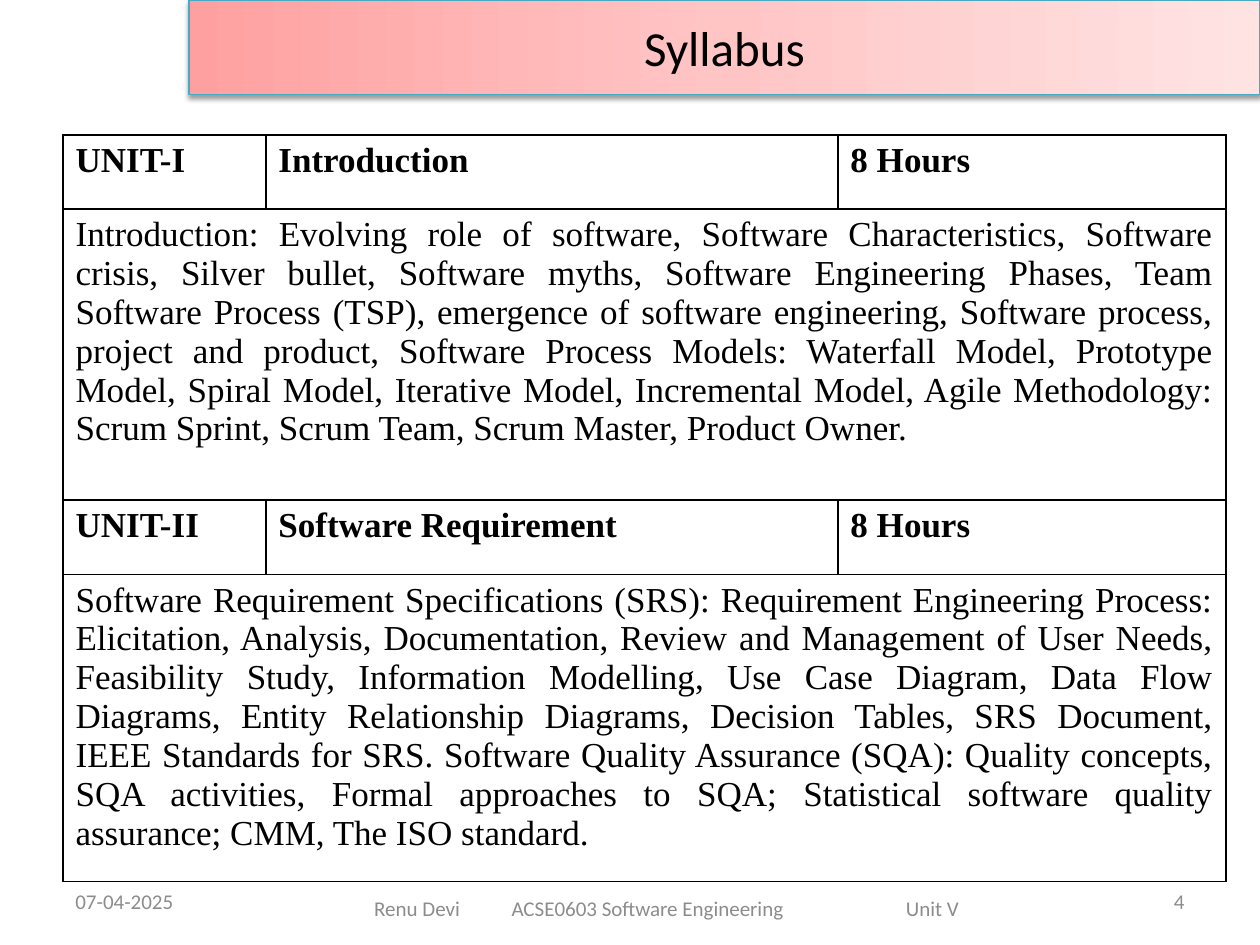
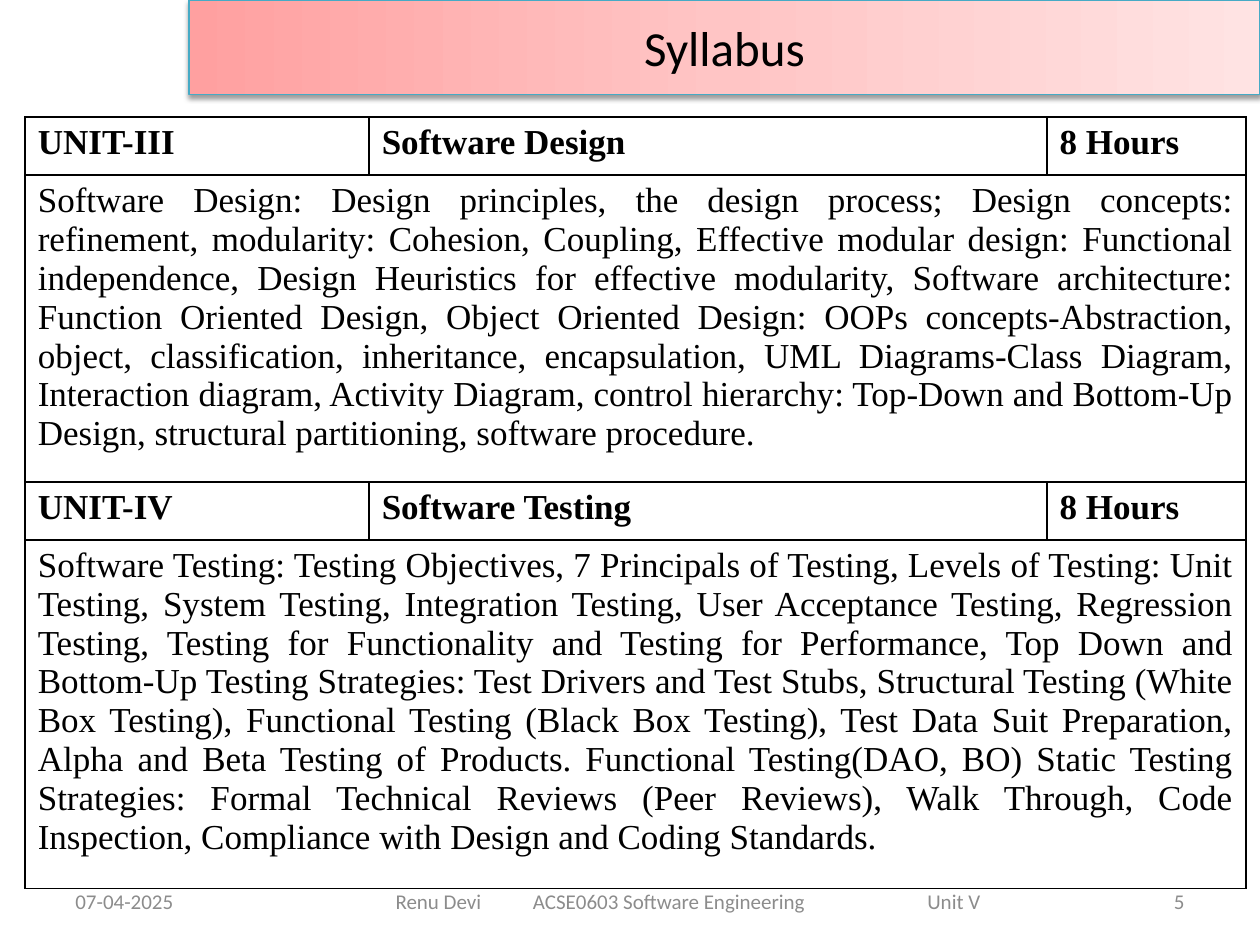
from lxml import etree
from pptx import Presentation
from pptx.dml.color import RGBColor
from pptx.enum.text import MSO_ANCHOR as Anchor, MSO_AUTO_SIZE as Fit, PP_ALIGN as Align
from pptx.oxml import parse_xml
from pptx.oxml.ns import nsdecls, qn
from pptx.util import Inches, Pt

SANS, SERIF = "Calibri", "Times New Roman"
BLACK, WHITE, GREY, TEAL = "000000", "FFFFFF", "8C8C8C", "46AAC5"
FADE = [(0, "FFA0A0"), (50, "FFC5C5"), (100, "FFE3E3")]
FOOT = "Renu Devi\tACSE0603 Software Engineering\tUnit V"
TABS = [1.09, 4.22]

PAGES = [
    {
        "num": "4",
        "foot": (2.64, 7.01),
        "at": (0.5, 1.07),
        "cols": [1.61, 4.54, 3.08],
        "rows": [0.59, 2.31, 0.59, 2.39],
        "units": [
            ("UNIT-I", "Introduction", "8 Hours",
             "Introduction: Evolving role of software, Software Characteristics, "
             "Software crisis, Silver bullet, Software myths, Software Engineering "
             "Phases, Team Software Process (TSP), emergence of software engineering, "
             "Software process, project and product, Software Process Models: "
             "Waterfall Model, Prototype Model, Spiral Model, Iterative Model, "
             "Incremental Model, Agile Methodology: Scrum Sprint, Scrum Team, "
             "Scrum Master, Product Owner."),
            ("UNIT-II", "Software Requirement", "8 Hours",
             "Software Requirement Specifications (SRS): Requirement Engineering "
             "Process: Elicitation, Analysis, Documentation, Review and Management of "
             "User Needs, Feasibility Study, Information Modelling, Use Case Diagram, "
             "Data Flow Diagrams, Entity Relationship Diagrams, Decision Tables, SRS "
             "Document, IEEE Standards for SRS. Software Quality Assurance (SQA): "
             "Quality concepts, SQA activities, Formal approaches to SQA; Statistical "
             "software quality assurance; CMM, The ISO standard."),
        ],
    },
    {
        "num": "5",
        "foot": (2.81, 6.95),
        "at": (0.2, 0.93),
        "cols": [2.73, 5.38, 1.58],
        "rows": [0.46, 2.02, 0.46, 2.39],
        "units": [
            ("UNIT-III", "Software Design", "8 Hours",
             "Software Design: Design principles, the design process; Design concepts: "
             "refinement, modularity: Cohesion, Coupling, Effective modular design: "
             "Functional independence, Design Heuristics for effective modularity, "
             "Software architecture: Function Oriented Design, Object Oriented Design: "
             "OOPs concepts-Abstraction, object, classification, inheritance, "
             "encapsulation, UML Diagrams-Class Diagram, Interaction diagram, Activity "
             "Diagram, control hierarchy: Top-Down and Bottom-Up Design, structural "
             "partitioning, software procedure."),
            ("UNIT-IV", "Software Testing", "8 Hours",
             "Software Testing: Testing Objectives, 7 Principals of Testing, Levels of "
             "Testing: Unit Testing, System Testing, Integration Testing, User "
             "Acceptance Testing, Regression Testing, Testing for Functionality and "
             "Testing for Performance, Top Down and Bottom-Up Testing Strategies: Test "
             "Drivers and Test Stubs, Structural Testing (White Box Testing), "
             "Functional Testing (Black Box Testing), Test Data Suit Preparation, "
             "Alpha and Beta Testing of Products. Functional Testing(DAO, BO) Static "
             "Testing Strategies: Formal Technical Reviews (Peer Reviews), Walk "
             "Through, Code Inspection, Compliance with Design and Coding Standards."),
        ],
    },
]


def color(code):
    return RGBColor.from_string(code)


def write(frame, text, size, face, tone, align, bold=False):
    frame.text = text
    para = frame.paragraphs[0]
    para.alignment = align
    font = para.font
    font.size, font.name, font.bold = Pt(size), face, bold
    font.color.rgb = color(tone)
    return para


# Title band with gradient and soft shadow
def add_title(slide, text, left, top, width, height):
    band = slide.shapes.title
    band.left, band.top = Inches(left), Inches(top)
    band.width, band.height = Inches(width), Inches(height)
    stops = "".join(f'<a:gs pos="{pos * 1000}"><a:srgbClr val="{code}"/></a:gs>'
                    for pos, code in FADE)
    props = band.element.spPr
    props.append(parse_xml(
        f'<a:gradFill {nsdecls("a")} rotWithShape="1"><a:gsLst>{stops}</a:gsLst>'
        '<a:lin ang="0" scaled="0"/></a:gradFill>'))
    band.line.color.rgb = color(TEAL)
    band.line.width = Pt(0.75)
    props.append(parse_xml(
        f'<a:effectLst {nsdecls("a")}><a:outerShdw blurRad="{Pt(3.1)}" '
        f'dist="{Pt(1.6)}" dir="5400000" rotWithShape="0"><a:srgbClr val="{BLACK}">'
        '<a:alpha val="38000"/></a:srgbClr></a:outerShdw></a:effectLst>'))
    frame = band.text_frame
    frame.auto_size = Fit.NONE
    frame.vertical_anchor = Anchor.MIDDLE
    write(frame, text, 28, SANS, BLACK, Align.CENTER)


# Footer: date, course line and page number
def add_note(slide, text, left, top, width, align=Align.LEFT):
    box = slide.shapes.add_textbox(Inches(left), Inches(top), Inches(width), Inches(0.4))
    frame = box.text_frame
    frame.word_wrap = True
    frame.vertical_anchor = Anchor.MIDDLE
    return frame, write(frame, text, 12, SANS, GREY, align)


def add_footer(slide, num, left, top):
    add_note(slide, "07-04-2025", 0.5, 6.95, 2.33)
    add_note(slide, num, 7.17, 6.95, 2.33, Align.RIGHT)
    frame, para = add_note(slide, FOOT, left, top, 5.5)
    frame.margin_left = Inches(0.33)
    props = para._p.get_or_add_pPr()
    stops = parse_xml(f'<a:tabLst {nsdecls("a")}/>')
    for pos in TABS:
        etree.SubElement(stops, qn("a:tab"), pos=str(Inches(pos)), algn="l")
    props.insert_element_before(stops, "a:defRPr", "a:extLst")


# Syllabus table: a heading row and a merged topic row for each unit
def frame_cell(cell):
    cell.fill.solid()
    cell.fill.fore_color.rgb = color(WHITE)
    props = cell._tc.get_or_add_tcPr()
    for spot, side in enumerate("LRTB"):
        props.insert(spot, parse_xml(
            f'<a:ln{side} {nsdecls("a")} w="{Pt(1)}"><a:solidFill>'
            f'<a:srgbClr val="{BLACK}"/></a:solidFill></a:ln{side}>'))


def add_units(slide, units, left, top, cols, rows):
    grid = slide.shapes.add_table(len(rows), len(cols), Inches(left), Inches(top),
                                  Inches(sum(cols)), Inches(sum(rows))).table
    grid.first_row = grid.horz_banding = False
    for col, width in zip(grid.columns, cols):
        col.width = Inches(width)
    for row, height in zip(grid.rows, rows):
        row.height = Inches(height)
    for cell in grid.iter_cells():
        frame_cell(cell)
    for i, (*heads, topics) in enumerate(units):
        for j, head in enumerate(heads):
            write(grid.cell(2 * i, j).text_frame, head, 20, SERIF, BLACK,
                  Align.JUSTIFY, True)
        wide = grid.cell(2 * i + 1, 0)
        wide.merge(grid.cell(2 * i + 1, len(cols) - 1))
        write(wide.text_frame, topics, 20, SERIF, BLACK, Align.JUSTIFY)


def add_page(deck, page):
    slide = deck.slides.add_slide(deck.slide_layouts[5])
    add_title(slide, "Syllabus", 1.5, 0, 8.5, 0.75)
    add_footer(slide, page["num"], *page["foot"])
    add_units(slide, page["units"], *page["at"], page["cols"], page["rows"])


def main():
    deck = Presentation()
    deck.slide_width, deck.slide_height = Inches(10), Inches(7.5)
    for page in PAGES:
        add_page(deck, page)
    deck.save("out.pptx")


if __name__ == "__main__":
    main()
